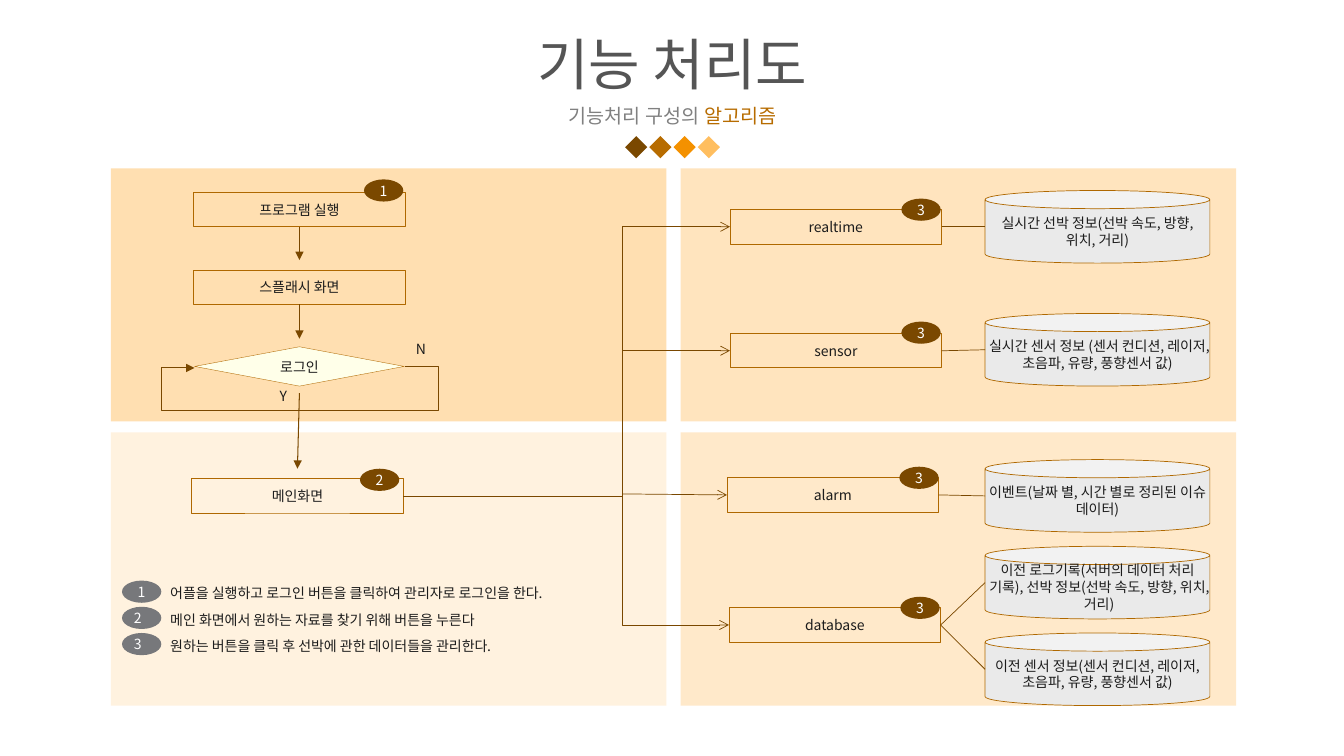
from lxml.etree import SubElement
from pptx import Presentation
from pptx.dml.color import RGBColor
from pptx.enum.shapes import MSO_CONNECTOR, MSO_SHAPE
from pptx.enum.text import MSO_ANCHOR, MSO_AUTO_SIZE, PP_ALIGN
from pptx.oxml.ns import qn
from pptx.util import Inches, Pt

BODY_FONT = "Noto Sans CJK KR"
HEAD_FONT = "Lato"
INK, WHITE = "1C1C1C", "FFFFFF"
BROWN, EDGE, ORANGE, GRAY = "7A4800", "AF6800", "B76C00", "77787B"

TITLE = "기능 처리도"
SUBTITLE = [("기능처리 구성의 ", "808080"), ("알고리즘", ORANGE)]
DIAMONDS = [BROWN, ORANGE, "F49100", "FFBE5F"]

PANEL_COLUMNS = [1.1, 6.75]
PANEL_ROWS = [(1.67, 2.51, ["FFDFB1", "FFE4BE"]),
              (4.29, 2.71, ["FFF2DF", "FFE9CA"])]

BOX_W, BOX_H = 2.1, 0.34
BADGE_W, BADGE_H = 0.39, 0.22
CAN_X, CAN_W, CAN_H = 9.77, 2.23, 0.72
BUS_X = 6.17

# name: left, top, badge number, badge left, badge top
STEPS = {
    "프로그램 실행": (1.92, 1.91, "1", 3.61, 1.78),
    "스플래시 화면": (1.92, 2.68, None, None, None),
    "메인화면": (1.9, 4.75, "2", 3.57, 4.65),
    "realtime": (7.24, 2.08, "3", 8.94, 1.97),
    "sensor": (7.24, 3.31, "3", 8.94, 3.19),
    "alarm": (7.21, 4.74, "3", 8.92, 4.63),
    "database": (7.23, 6.03, "3", 8.93, 5.92),
}
# step, can top, text
STORES = [
    ("realtime", 1.89, "실시간 선박 정보(선박 속도, 방향, 위치, 거리)"),
    ("sensor", 3.11, "실시간 센서 정보 (센서 컨디션, 레이저, 초음파, 유량, 풍향센서 값) "),
    ("alarm", 4.56, "이벤트(날짜 별, 시간 별로 정리된 이슈 데이터)"),
    ("database", 5.42, "이전 로그기록(서버의 데이터 처리 기록), 선박 정보(선박 속도, 방향, 위치, 거리)"),
    ("database", 6.28, "이전 센서 정보(센서 컨디션, 레이저, 초음파, 유량, 풍향센서 값)"),
]
LEGEND = [
    ("어플을 실행하고 로그인 버튼을 클릭하여 관리자로 로그인을 한다.", PP_ALIGN.CENTER),
    ("메인 화면에서 원하는 자료를 찾기 위해 버튼을 누른다", PP_ALIGN.LEFT),
    ("원하는 버튼을 클릭 후 선박에 관한 데이터들을 관리한다.", PP_ALIGN.LEFT),
]
BRANCH_LABELS = [("Y", 2.67, 3.8, 0.28), ("N", 4.02, 3.33, 0.31)]


def rgb(code):
    return RGBColor.from_string(code)


def inches(*values):
    return [Inches(value) for value in values]


def write(shape, spans, size=10, font=BODY_FONT, align=PP_ALIGN.CENTER, spacing=None,
          inset=None, wrap=True, anchor=MSO_ANCHOR.MIDDLE):
    """Fill the first paragraph with (text, colour) spans."""
    frame = shape.text_frame
    settings = {"word_wrap": wrap, "vertical_anchor": anchor, "auto_size": MSO_AUTO_SIZE.NONE}
    if inset is not None:
        for side in ("left", "top", "right", "bottom"):
            settings[f"margin_{side}"] = Inches(inset)
    for name, value in settings.items():
        setattr(frame, name, value)
    para = frame.paragraphs[0]
    para.alignment = align
    if spacing:
        para.line_spacing = spacing
    for text, color in spans:
        span = para.add_run()
        span.text = text
        for name, value in {"size": Pt(size), "name": font, "bold": False}.items():
            setattr(span.font, name, value)
        span.font.color.rgb = rgb(color)
        SubElement(span.font.element if hasattr(span.font, "element") else
                   span._r.get_or_add_rPr(), qn("a:ea"), typeface=BODY_FONT)
    return para


def add_figure(kind, place, fill=None, edge=None, weight=0.5):
    shape = page.shapes.add_shape(kind, *inches(*place))
    shape.shadow.inherit = False
    if fill:
        shape.fill.solid()
        shape.fill.fore_color.rgb = rgb(fill)
    else:
        shape.fill.background()
    if edge:
        shape.line.color.rgb = rgb(edge)
        shape.line.width = Pt(weight)
    else:
        shape.line.fill.background()
    return shape


def add_badge(number, left, top, fill=BROWN, align=PP_ALIGN.CENTER):
    badge = add_figure(MSO_SHAPE.OVAL, (left, top, BADGE_W, BADGE_H), fill)
    para = write(badge, [(number, WHITE)], align=align, inset=0.06, wrap=False)
    hanging = Inches(0.09)
    properties = para._p.get_or_add_pPr()
    properties.set("marL", str(hanging))
    properties.set("indent", str(-hanging))


def add_link(start, end, weight=0.5, arrow=None, bends=()):
    """Draw a line, or an elbow whose bends are shares of its width and height."""
    kind = MSO_CONNECTOR.ELBOW if bends else MSO_CONNECTOR.STRAIGHT
    link = page.shapes.add_connector(kind, *inches(*start, *end))
    link.line.color.rgb = rgb(BROWN)
    link.line.width = Pt(weight)
    properties = link.element.spPr
    if arrow:
        SubElement(properties.find(qn("a:ln")), qn("a:tailEnd"), type=arrow)
    SubElement(properties, qn("a:effectLst"))
    if bends:
        geometry = properties.find(qn("a:prstGeom"))
        geometry.set("prst", f"bentConnector{len(bends) + 2}")
        guides = geometry.find(qn("a:avLst"))
        for number, share in enumerate(bends, 1):
            SubElement(guides, qn("a:gd"), name=f"adj{number}", fmla=f"val {round(share * 100000)}")
    return link


deck = Presentation()
deck.slide_width, deck.slide_height = inches(13.33, 7.5)
page = deck.slides.add_slide(deck.slide_layouts[5])

# Heading
title = page.shapes.title
title.left, title.top, title.width, title.height = inches(1.96, 0.23, 9.42, 0.88)
write(title, [(TITLE, "555555")], 40, HEAD_FONT, spacing=0.9)
subtitle = page.shapes.add_textbox(*inches(4.42, 0.95, 4.5, 0.4))
write(subtitle, SUBTITLE, 14, HEAD_FONT)
for index, color in enumerate(DIAMONDS):
    add_figure(MSO_SHAPE.DIAMOND, (6.2 + 0.24 * index, 1.35, 0.22, 0.22), color)

# Panels
for top, height, colors in PANEL_ROWS:
    for left, color in zip(PANEL_COLUMNS, colors):
        add_figure(MSO_SHAPE.RECTANGLE, (left, top, 5.51, height), color)

# Steps, decision and stores
boxes = {}
for name, (left, top, number, badge_left, badge_top) in STEPS.items():
    boxes[name] = add_figure(MSO_SHAPE.RECTANGLE, (left, top, BOX_W, BOX_H), edge=EDGE)
    write(boxes[name], [(name, INK)], inset=0.04)
    if number:
        add_badge(number, badge_left, badge_top)

login = add_figure(MSO_SHAPE.FLOWCHART_DECISION, (1.93, 3.44, 2.08, 0.39), "FFFFE9", EDGE, 0.25)
write(login, [("로그인", INK)])
for text, left, top, width in BRANCH_LABELS:
    label = page.shapes.add_textbox(*inches(left, top, width, 0.27))
    write(label, [(text, INK)], wrap=False, anchor=MSO_ANCHOR.TOP)

for step, top, text in STORES:
    store = add_figure(MSO_SHAPE.CAN, (CAN_X, top, CAN_W, CAN_H), "EAEAEA", EDGE)
    store.adjustments[0] = 0.25
    write(store, [(text, INK)], inset=0.04)
    left, box_top = STEPS[step][:2]
    link = add_link((left + BOX_W, box_top + BOX_H / 2), (CAN_X, top + CAN_H / 2))
    link.begin_connect(boxes[step], 3)

# Flow down the left side
for name, end_y in [("프로그램 실행", 2.58), ("스플래시 화면", 3.36)]:
    left, top = STEPS[name][:2]
    middle = left + BOX_W / 2
    link = add_link((middle, top + BOX_H), (middle, end_y), 0.75, "triangle")
    link.begin_connect(boxes[name], 2)
add_link((2.97, 3.9), (2.95, 4.65), 0.75, "triangle")

loop_start, loop_end, loop_floor = (4.02, 3.64), (1.93, 3.65), 4.08
overhang = 0.33 / (loop_start[0] - loop_end[0])
drop = (loop_floor - loop_start[1]) / (loop_end[1] - loop_start[1])
add_link(loop_start, loop_end, 0.75, "triangle", (-overhang, drop, 1 + overhang))

# Branches from the main screen
main_left, main_top = STEPS["메인화면"][:2]
main_exit = (main_left + BOX_W, main_top + BOX_H / 2)
for name in ("realtime", "sensor", "database"):
    left, top = STEPS[name][:2]
    turn = (BUS_X - main_exit[0]) / (left - main_exit[0])
    add_link(main_exit, (left, top + BOX_H / 2), arrow="arrow", bends=(turn,))
alarm_link = add_link((BUS_X, 4.9), (7.21, 4.91), arrow="arrow")
alarm_link.end_connect(boxes["alarm"], 1)

# Legend
for index, (text, align) in enumerate(LEGEND):
    top = 5.76 + 0.26 * index
    add_badge(str(index + 1), 1.21, top, GRAY, align)
    note = page.shapes.add_textbox(*inches(1.59, top - 0.04, 4.5, 0.29))
    write(note, [(text, INK)], align=PP_ALIGN.LEFT, spacing=1.2, anchor=MSO_ANCHOR.TOP)

deck.save("out.pptx")
